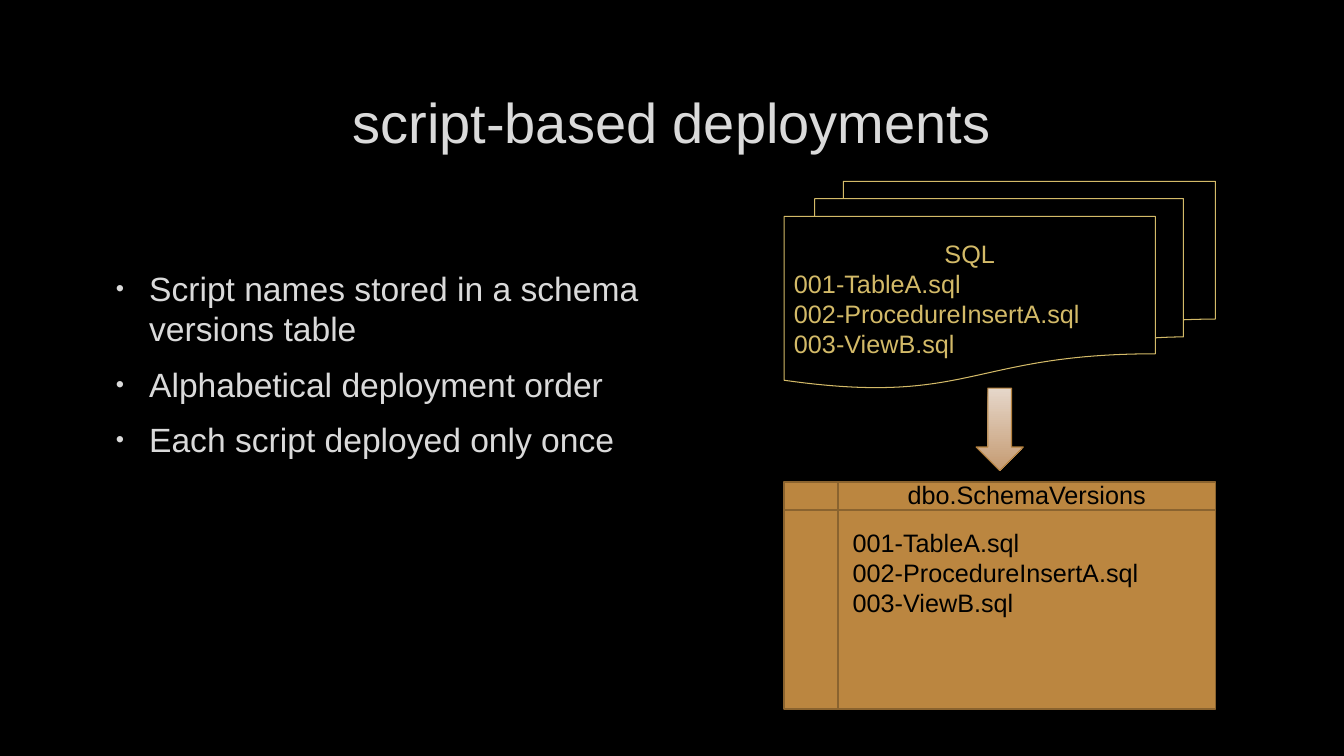
from lxml.etree import SubElement
from pptx import Presentation
from pptx.dml.color import RGBColor
from pptx.enum.shapes import MSO_SHAPE
from pptx.enum.text import MSO_ANCHOR, PP_ALIGN
from pptx.oxml.ns import qn
from pptx.util import Cm, Pt

COLORS = {
    "background": "000000",
    "light_text": "DADADA",
    "gold": "D3BA68",
    "table_fill": "BB8640",
    "table_line": "8A632F",
    "table_text": "000000",
    "arrow_top": "E6D7CA",
    "arrow_bottom": "C59B72",
    "arrow_line": "B3803D",
}
SCRIPTS = ["001-TableA.sql", "002-ProcedureInsertA.sql", "003-ViewB.sql"]
POINTS = [
    "Script names stored in a schema versions table",
    "Alphabetical deployment order",
    "Each script deployed only once",
]


def color(name):
    return RGBColor.from_string(COLORS[name])


def write(shape, lines, size, color_name, anchor=MSO_ANCHOR.TOP):
    """Write one left-aligned paragraph per line and return the paragraphs."""
    frame = shape.text_frame
    frame.word_wrap = True
    frame.vertical_anchor = anchor
    for index, line in enumerate(lines):
        paragraph = frame.add_paragraph() if index else frame.paragraphs[0]
        paragraph.alignment = PP_ALIGN.LEFT
        run = paragraph.add_run()
        run.text = line
        run.font.name = "Arial"
        run.font.size = Pt(size)
        run.font.color.rgb = color(color_name)
    return frame.paragraphs


def add_text(slide, box, lines, size, color_name, anchor=MSO_ANCHOR.TOP):
    textbox = slide.shapes.add_textbox(*map(Cm, box))
    return write(textbox, lines, size, color_name, anchor)


def add_outlined(slide, kind, box, line_color, line_width):
    shape = slide.shapes.add_shape(kind, *map(Cm, box))
    shape.shadow.inherit = False
    shape.line.color.rgb = color(line_color)
    shape.line.width = Pt(line_width)
    return shape


def add_bullet(paragraph):
    properties = paragraph._p.get_or_add_pPr()
    properties.set("marL", str(Cm(0.97)))
    properties.set("indent", str(Cm(-0.84)))
    bullet_color = SubElement(properties, qn("a:buClr"))
    SubElement(bullet_color, qn("a:srgbClr"), val=COLORS["light_text"])
    SubElement(properties, qn("a:buSzPct"), val="70000")
    SubElement(properties, qn("a:buFont"), typeface="Arial")
    SubElement(properties, qn("a:buChar"), char="•")


def add_title(slide, box):
    paragraphs = add_text(slide, box, ["script-based deployments"], 40,
                          "light_text", MSO_ANCHOR.MIDDLE)
    paragraphs[0].alignment = PP_ALIGN.CENTER


def add_points(slide, box):
    for paragraph in add_text(slide, box, POINTS, 24, "light_text"):
        paragraph.space_before = Pt(4.8)
        paragraph.space_after = Pt(6)
        add_bullet(paragraph)


def add_script_files(slide, box):
    files = add_outlined(slide, MSO_SHAPE.FLOWCHART_MULTIDOCUMENT, box, "gold", 0.75)
    files.fill.background()
    paragraphs = write(files, ["SQL", *SCRIPTS], 18, "gold", MSO_ANCHOR.MIDDLE)
    paragraphs[0].alignment = PP_ALIGN.CENTER


def add_arrow(slide, box):
    arrow = add_outlined(slide, MSO_SHAPE.DOWN_ARROW, box, "arrow_line", 0.75)
    arrow.fill.gradient()
    arrow.fill.gradient_angle = 270
    for stop, name, position in zip(arrow.fill.gradient_stops,
                                    ("arrow_top", "arrow_bottom"), (0, 1)):
        stop.color.rgb = color(name)
        stop.position = position


def add_versions_table(slide, box):
    """Draw the storage symbol with its heading and the stored script names."""
    left, top, width, height = box
    storage = add_outlined(slide, MSO_SHAPE.FLOWCHART_INTERNAL_STORAGE, box,
                           "table_line", 1.25)
    storage.fill.solid()
    storage.fill.fore_color.rgb = color("table_fill")
    margin = width / 8
    heading_box = (left + margin, top - 0.18, width - margin, 1.02)
    heading = add_text(slide, heading_box, ["dbo.SchemaVersions"], 18, "table_text")
    heading[0].alignment = PP_ALIGN.CENTER
    names_box = (left + margin + 0.12, top + 1.02, width - margin - 0.12, 2.57)
    add_text(slide, names_box, SCRIPTS, 18, "table_text")


def main():
    presentation = Presentation()
    presentation.slide_width = Cm(33.87)
    presentation.slide_height = Cm(19.05)
    slide = presentation.slides.add_slide(presentation.slide_layouts[6])
    slide.background.fill.solid()
    slide.background.fill.fore_color.rgb = color("background")

    add_title(slide, (2.54, 1.7, 28.75, 2.69))
    add_points(slide, (2.54, 6.63, 15.98, 7.29))
    diagram_left, diagram_width = 19.76, 10.87
    add_script_files(slide, (diagram_left, 4.57, diagram_width, 5.21))
    add_versions_table(slide, (diagram_left, 12.14, diagram_width, 5.72))
    arrow_width = 1.19
    arrow_left = diagram_left + (diagram_width - arrow_width) / 2
    add_arrow(slide, (arrow_left, 9.78, arrow_width, 2.08))
    presentation.save("out.pptx")


if __name__ == "__main__":
    main()
